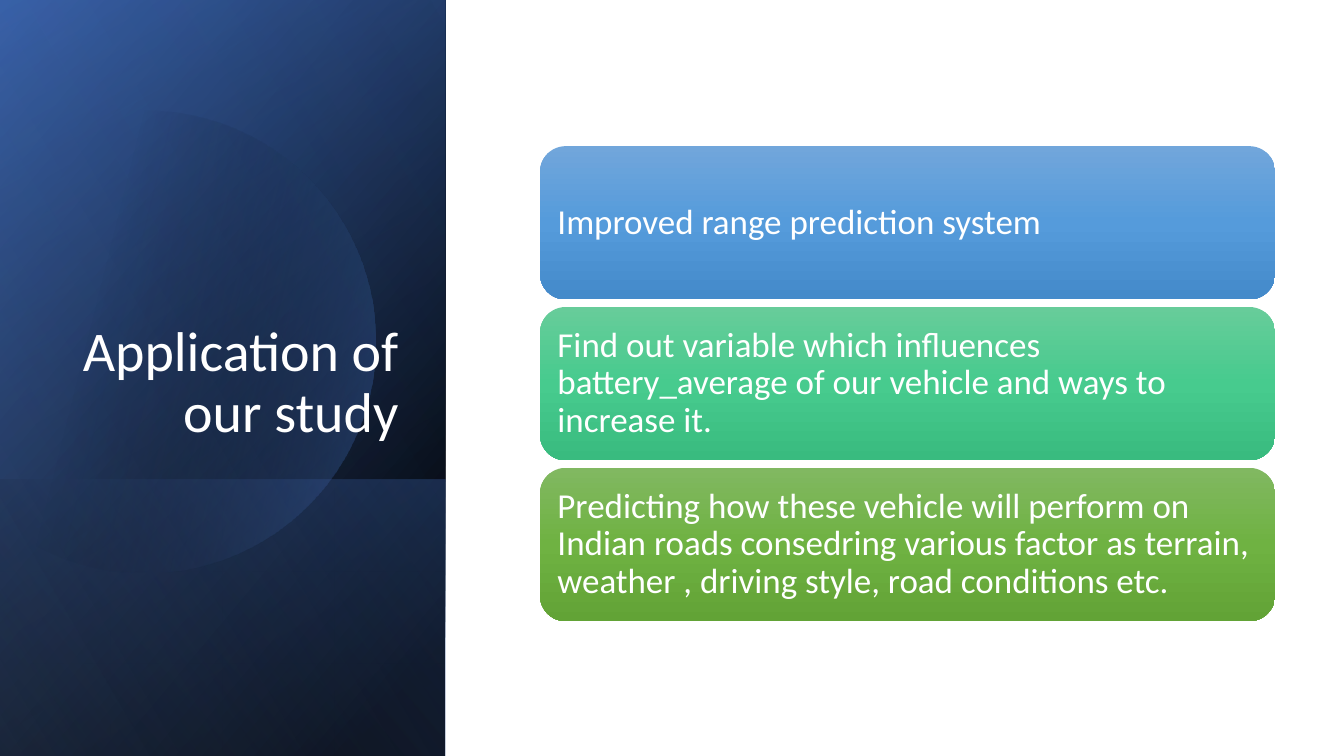
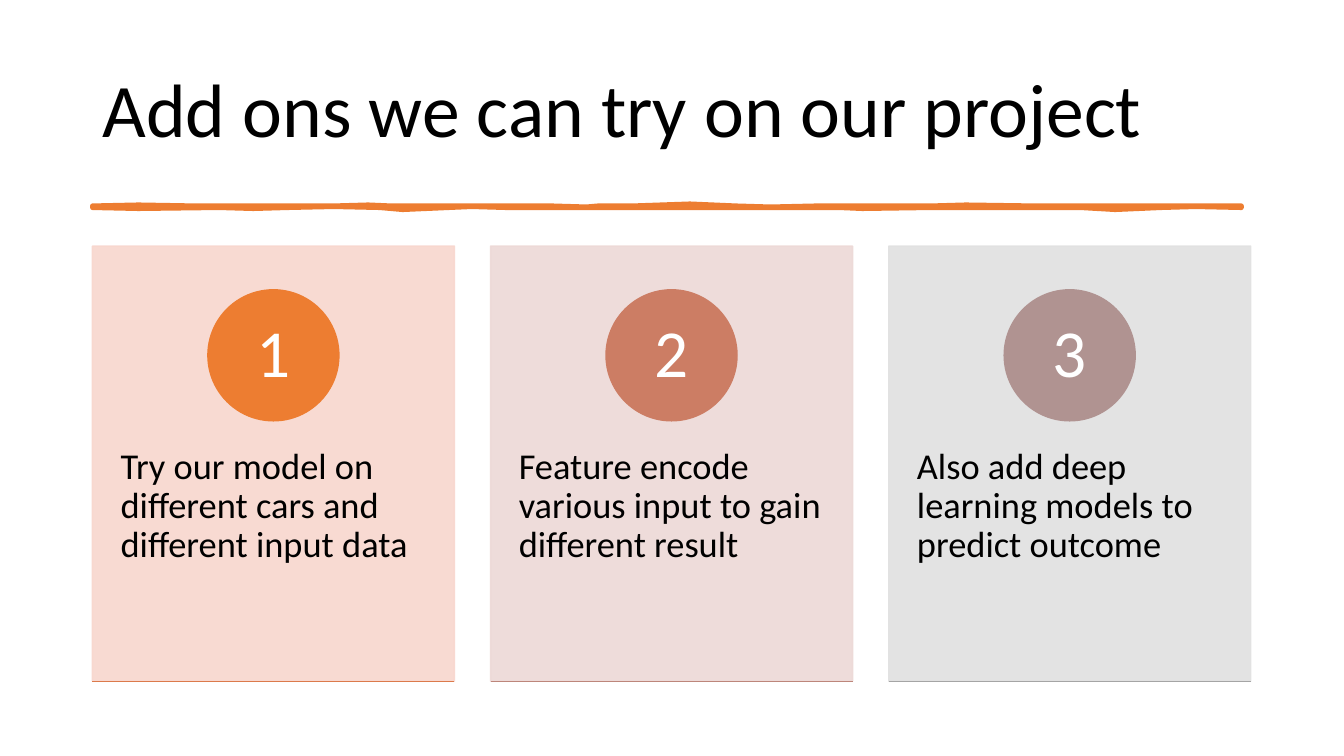
from dataclasses import dataclass
from math import acos, cos, pi, sin

from lxml.etree import SubElement
from pptx import Presentation
from pptx.dml.color import RGBColor as Rgb
from pptx.enum.shapes import MSO_CONNECTOR as Link, MSO_SHAPE as Preset
from pptx.enum.text import MSO_ANCHOR as Anchor, PP_ALIGN as Align
from pptx.oxml.ns import qn
from pptx.util import Inches, Pt

COLUMNS, ROWS = 160, 90


@dataclass(frozen=True)
class Theme:
    """Colours, font and type sizes of the deck."""
    font: str = "Calibri"
    ink: str = "000000"
    paper: str = "FFFFFF"
    navy: str = "2F5597"
    blue: str = "4472C4"
    pale_blue: str = "8FAADC"
    accent: str = "ED7D31"
    side_title: int = 40
    top_title: int = 54
    bar_text: int = 25
    card_text: int = 26
    number: int = 48
    bars: tuple = (("71A6DB", "559BDB", "448ACA"),
                   ("67CC9A", "47CB8E", "39BB7F"),
                   ("81B861", "6FB242", "62A336"))
    cards: tuple = (("F8D7CE", "ED7D31", "DC7A4B"),
                    ("EDD9D7", "CC7D64", "BD867B"),
                    ("E1E1E1", "B09391", "A5A5A5"))


THEME = Theme()


def write(shape, text, size, color=THEME.ink, align=Align.LEFT,
          anchor=Anchor.MIDDLE, insets=(0.1, 0.05, 0.1, 0.05)):
    """Put one formatted paragraph in a shape, insets in inches."""
    frame = shape.text_frame
    frame.word_wrap = True
    frame.vertical_anchor = anchor
    (frame.margin_left, frame.margin_top,
     frame.margin_right, frame.margin_bottom) = map(Inches, insets)
    paragraph = frame.paragraphs[0]
    paragraph.alignment = align
    paragraph.line_spacing = 0.9
    run = paragraph.add_run()
    run.text = text
    run.font.name = THEME.font
    run.font.size = Pt(size)
    run.font.color.rgb = Rgb.from_string(color)


class Deck:
    """Draws styled elements on the current slide, in grid cells."""

    def __init__(self):
        """Open a wide presentation and work out the grid cell."""
        self.show = Presentation()
        self.show.slide_width, self.show.slide_height = Inches(13.333), Inches(7.5)
        self.cell_width = self.show.slide_width / COLUMNS
        self.cell_height = self.show.slide_height / ROWS

    def new_slide(self):
        """Start a blank slide."""
        self.shapes = self.show.slides.add_slide(self.show.slide_layouts[6]).shapes

    def place(self, column, row):
        """Turn a column and a row into slide lengths."""
        return round(column * self.cell_width), round(row * self.cell_height)

    def solid(self, shape, color, weight=1, opacity=None):
        """Fill and outline a shape in one colour."""
        shape.shadow.inherit = False
        shape.fill.solid()
        shape.fill.fore_color.rgb = shape.line.color.rgb = Rgb.from_string(color)
        shape.line.width = Pt(weight)
        if opacity is not None:
            for tint in shape._element.spPr.iter(qn("a:srgbClr")):
                SubElement(tint, qn("a:alpha"), val=str(opacity * 1000))
        return shape

    def gradient(self, shape, stops, angle):
        """Fill a shape with stops of position, colour and opacity."""
        shape.shadow.inherit = False
        shape.line.fill.background()
        shape.fill.gradient()
        blend = shape._element.spPr.find(qn("a:gradFill"))
        blend.clear()
        blend.set("rotWithShape", "1")
        listing = SubElement(blend, qn("a:gsLst"))
        for position, color, opacity in stops:
            stop = SubElement(listing, qn("a:gs"), pos=str(position * 1000))
            tint = SubElement(stop, qn("a:srgbClr"), val=color)
            SubElement(tint, qn("a:alpha"), val=str(opacity * 1000))
        SubElement(blend, qn("a:lin"), ang=str(angle * 60000), scaled="0")
        return shape

    def preset(self, kind, column, row, width, height):
        """Add a preset shape."""
        return self.shapes.add_shape(
            kind, *self.place(column, row), *self.place(width, height))

    def outline(self, points):
        """Add a closed outline through grid points."""
        start, *others = [self.place(*point) for point in points]
        builder = self.shapes.build_freeform(*start)
        builder.add_line_segments(others, close=True)
        return builder.convert_to_shape()

    def title(self, text, column, row, width, height, **form):
        """Add a slide title."""
        box = self.shapes.add_textbox(
            *self.place(column, row), *self.place(width, height))
        write(box, text, **form)

    def side_band(self, row, width, height, stops, angle):
        """Add a left band as a quarter-turned, mirrored rectangle."""
        band = self.preset(Preset.RECTANGLE, (width - height) / 2,
                           row + (height - width) / 2, height, width)
        band.rotation = 90
        band._element.spPr.xfrm.set("flipH", "1")
        self.gradient(band, stops, angle)

    def cut_disc(self, column, row, radius, stops, angle):
        """Add a disc cut off by the left slide edge."""
        reach = acos(-column / radius)
        turns = [reach * (step / 60 - 1) for step in range(121)]
        disc = self.outline([(column + radius * cos(turn), row + radius * sin(turn))
                             for turn in turns])
        self.gradient(disc, stops, angle)

    def bar(self, text, row, colors):
        """Add a rounded bar with a statement."""
        bar = self.preset(Preset.ROUNDED_RECTANGLE, 64.3, row, 87.5, 18.24)
        self.gradient(bar, [(at, color, 100) for at, color in zip((0, 50, 100), colors)], 90)
        write(bar, text, THEME.bar_text, THEME.paper, insets=(0.1,) * 4)

    def sketch_rule(self, column, row, length, wobble):
        """Add a hand-drawn rule from shares of its length and offsets."""
        rule = self.outline([(column + length * share / 100, row + offset * 0.12)
                             for share, offset in wobble])
        self.solid(rule, THEME.accent, 3.25)
        SubElement(rule.line._get_or_add_ln(), qn("a:round"))

    def card(self, number, text, column, colors):
        """Add a numbered card with a line at its foot."""
        tint, badge_color, foot_color = colors
        top, width, height, badge_size = 29.3, 43.1, 51.8, 15.6
        panel = self.solid(self.preset(Preset.RECTANGLE, column, top, width, height),
                           tint, opacity=90)
        write(panel, text, THEME.card_text, anchor=Anchor.TOP,
              insets=(0.28, 2, 0.28, 0.36))
        badge = self.preset(Preset.OVAL, column + (width - badge_size) / 2,
                            top + 5.2, badge_size, badge_size)
        write(self.solid(badge, badge_color), str(number), THEME.number, THEME.paper,
              Align.CENTER, insets=(0.1, 0.01, 0.1, 0.01))
        foot = self.shapes.add_connector(
            Link.STRAIGHT, *self.place(column, top + height),
            *self.place(column + width, top + height))
        foot.line.color.rgb = Rgb.from_string(foot_color)
        foot.line.width = Pt(1)
        SubElement(foot._element.spPr, qn("a:effectLst"))


def application_slide(deck):
    """Build the slide on applications."""
    deck.new_slide()
    black, blue = THEME.ink, THEME.blue
    deck.side_band(0, 53, ROWS, [(8, black, 100), (100, THEME.navy, 100)], 50)
    deck.side_band(0, 53, ROWS, [(0, black, 0), (99, blue, 46)], 30)
    deck.side_band(57.1, 53, 32.9, [(2, blue, 29), (100, black, 30)], 130)
    deck.cut_disc(17.2, 40.7, 27.5, [(29, black, 0), (100, blue, 43)], 14)
    deck.side_band(0, 53, ROWS, [(0, black, 0), (99, THEME.pale_blue, 11)], 120)
    deck.title("Application of our study", 7.7, 22.1, 40.9, 31.4,
               size=THEME.side_title, color=THEME.paper,
               align=Align.RIGHT, anchor=Anchor.BOTTOM)
    statements = (
        "Improved range prediction system",
        "Find out variable which influences battery_average of our vehicle "
        "and ways to increase it.",
        "Predicting how these vehicle will perform on Indian roads consedring "
        "various factor as terrain, weather , driving style, road conditions etc.")
    for index, (statement, colors) in enumerate(zip(statements, THEME.bars)):
        deck.bar(statement, 17.4 + 19.15 * index, colors)


def add_ons_slide(deck):
    """Build the slide on add ons."""
    deck.new_slide()
    deck.title("Add ons we can try on our project", 11, 4.8, 138, 17.4,
               size=THEME.top_title)
    upper_edge = [(0, 0), (4, -1), (9, 0), (21, 0), (24, -1), (26, 0), (40, 0),
                  (43, 1), (44, 0), (47, 0), (52, -2), (56, 0), (59, 1), (63, 0),
                  (73, 0), (76, -1), (82, 0), (93, 0), (100, 0)]
    lower_edge = [(100, 2), (96, 1), (93, 2), (89, 4), (86, 2), (73, 2), (67, 3),
                  (65, 2), (36, 2), (33, 1), (31, 2), (27, 4), (25, 2), (21, 1),
                  (17, 2), (14, 3), (11, 2), (4, 3), (0, 2)]
    deck.sketch_rule(11, 24.5, 136.8, upper_edge + lower_edge)
    ideas = ("Try our model on different cars and different input data",
             "Feature encode various input to gain different result",
             "Also add deep learning models to predict outcome")
    for index, (idea, colors) in enumerate(zip(ideas, THEME.cards)):
        deck.card(index + 1, idea, 11 + 47.4 * index, colors)


def main():
    """Build and save the deck."""
    deck = Deck()
    application_slide(deck)
    add_ons_slide(deck)
    deck.show.save("out.pptx")


if __name__ == "__main__":
    main()
